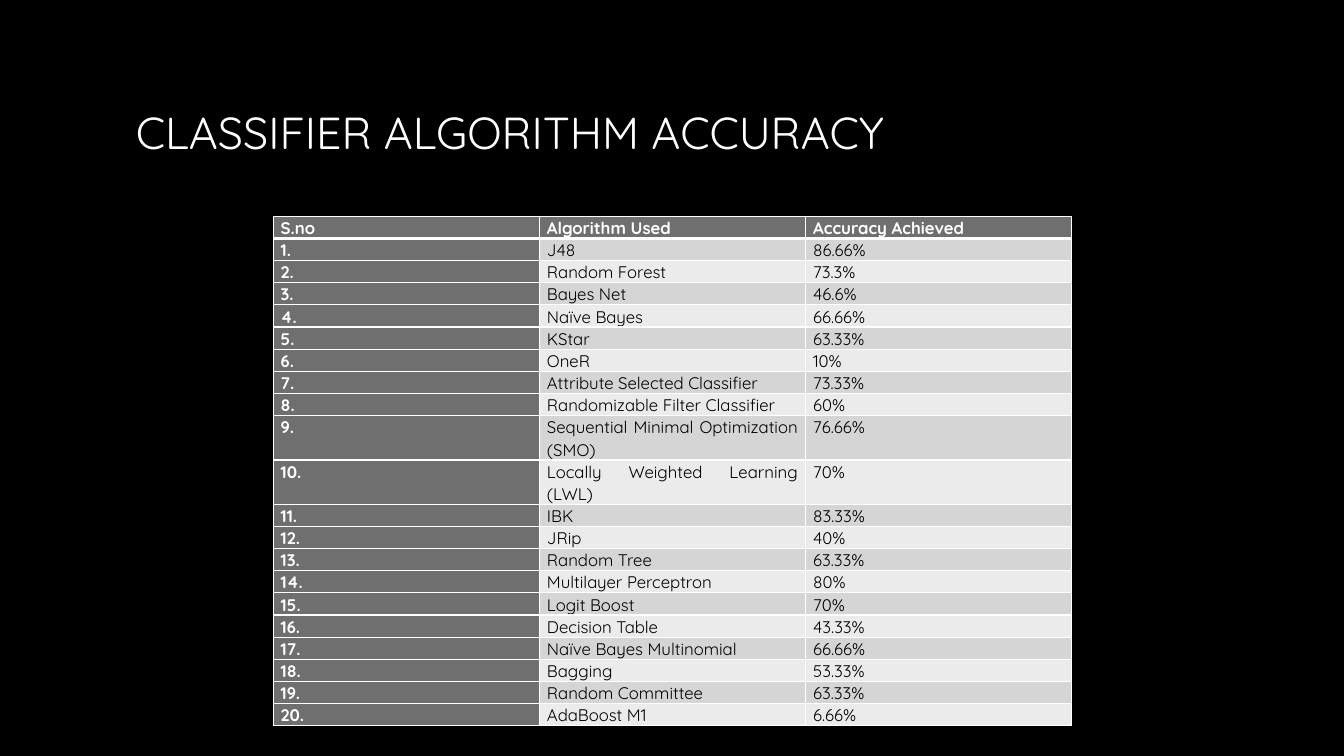
from lxml import etree
from pptx import Presentation
from pptx.dml.color import RGBColor
from pptx.enum import text
from pptx.oxml import ns
from pptx.util import Pt

# Content
TITLE = "CLASSIFIER ALGORITHM ACCURACY"
HEADINGS = ("S.no", "Algorithm Used", "Accuracy Achieved")
ACCURACIES = [
    ("J48", "86.66%"),
    ("Random Forest", "73.3%"),
    ("Bayes Net", "46.6%"),
    ("Naïve Bayes", "66.66%"),
    ("KStar", "63.33%"),
    ("OneR", "10%"),
    ("Attribute Selected Classifier", "73.33%"),
    ("Randomizable Filter Classifier", "60%"),
    ("Sequential Minimal Optimization (SMO)", "76.66%"),
    ("Locally Weighted Learning (LWL)", "70%"),
    ("IBK", "83.33%"),
    ("JRip", "40%"),
    ("Random Tree", "63.33%"),
    ("Multilayer Perceptron", "80%"),
    ("Logit Boost", "70%"),
    ("Decision Table", "43.33%"),
    ("Naïve Bayes Multinomial", "66.66%"),
    ("Bagging", "53.33%"),
    ("Random Committee", "63.33%"),
    ("AdaBoost M1", "6.66%"),
]
TWO_LINE_ROWS = (9, 10)

# Style
FONT = "Quicksand"
BLACK = RGBColor(0x00, 0x00, 0x00)
WHITE = RGBColor(0xFF, 0xFF, 0xFF)
HEADING_GREY = RGBColor(0x6F, 0x6F, 0x6F)
BAND_GREYS = (RGBColor(0xEB, 0xEB, 0xEB), RGBColor(0xD5, 0xD5, 0xD5))
ROW_HEIGHT = 15.84
COLUMN_WIDTH = 190.2


def style_font(font, size, color, bold=False):
    font.name = FONT
    font.size = Pt(size)
    font.bold = bold
    font.color.rgb = color


def add_border(cell, side, width):
    properties = cell._tc.get_or_add_tcPr()
    line = etree.SubElement(properties, ns.qn(f"a:ln{side}"), w=str(Pt(width)))
    fill = etree.SubElement(line, ns.qn("a:solidFill"))
    etree.SubElement(fill, ns.qn("a:srgbClr"), val=str(WHITE))


def fill_cell(cell, wording, row, column):
    heading = row == 0 or column == 0
    cell.margin_left = cell.margin_right = Pt(5.4)
    cell.margin_top = cell.margin_bottom = 0
    # The rule under the heading row is heavier
    borders = {"L": 1, "R": 1, "T": 3 if row == 1 else 1, "B": 3 if row == 0 else 1}
    for side, width in borders.items():
        add_border(cell, side, width)
    cell.fill.solid()
    cell.fill.fore_color.rgb = HEADING_GREY if heading else BAND_GREYS[row % 2]

    paragraph = cell.text_frame.paragraphs[0]
    paragraph.text = wording
    paragraph.alignment = text.PP_ALIGN.JUSTIFY
    paragraph.line_spacing = 1.07
    paragraph.space_after = Pt(8)
    style_font(paragraph.runs[0].font, 12, WHITE if heading else BLACK, heading)


def main():
    presentation = Presentation()
    presentation.slide_width, presentation.slide_height = Pt(960), Pt(540)
    slide = presentation.slides.add_slide(presentation.slide_layouts[6])
    slide.background.fill.solid()
    slide.background.fill.fore_color.rgb = BLACK

    # Title
    title = slide.shapes.add_textbox(Pt(90), Pt(19.44), Pt(779.76), Pt(149.76)).text_frame
    title.word_wrap = True
    title.vertical_anchor = text.MSO_ANCHOR.MIDDLE
    title.text = TITLE
    style_font(title.paragraphs[0].runs[0].font, 32, WHITE)

    # Accuracy table
    rows = [HEADINGS]
    rows += [(f"{number}.", *entry) for number, entry in enumerate(ACCURACIES, 1)]
    line_count = len(rows) + len(TWO_LINE_ROWS)
    table = slide.shapes.add_table(
        len(rows), len(HEADINGS), Pt(195.12), Pt(154.5),
        Pt(COLUMN_WIDTH * len(HEADINGS)), Pt(ROW_HEIGHT * line_count)).table
    for column in table.columns:
        column.width = Pt(COLUMN_WIDTH)
    for row, wordings in enumerate(rows):
        table.rows[row].height = Pt(ROW_HEIGHT * (2 if row in TWO_LINE_ROWS else 1))
        for column, wording in enumerate(wordings):
            fill_cell(table.cell(row, column), wording, row, column)

    presentation.save("out.pptx")


if __name__ == "__main__":
    main()
